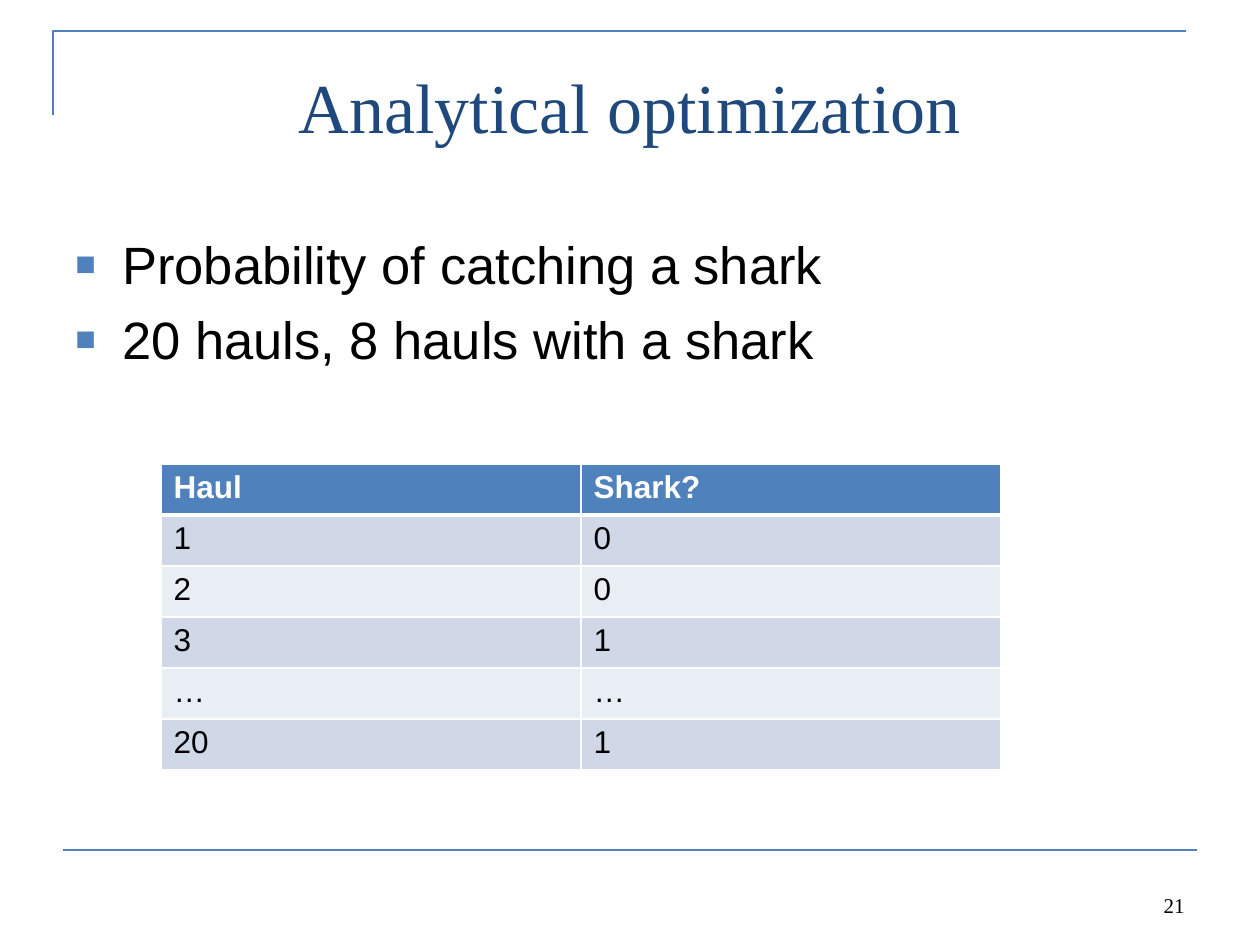
from pptx import Presentation
from pptx.dml.color import RGBColor
from pptx.enum.shapes import MSO_CONNECTOR
from pptx.enum.text import MSO_ANCHOR, PP_ALIGN
from pptx.oxml.ns import qn
from pptx.util import Emu, Pt
from lxml import etree

TITLE = "Analytical optimization"
POINTS = ["Probability of catching a shark", "20 hauls, 8 hauls with a shark"]
HAULS = [
    ("Haul", "Shark?"),
    ("1", "0"),
    ("2", "0"),
    ("3", "1"),
    ("…", "…"),
    ("20", "1"),
]
PAGE_NUMBER = "21"

STRAIGHT = MSO_CONNECTOR.STRAIGHT
TOP, BOTTOM = MSO_ANCHOR.TOP, MSO_ANCHOR.BOTTOM
LEFT, CENTER, RIGHT = PP_ALIGN.LEFT, PP_ALIGN.CENTER, PP_ALIGN.RIGHT
BLUE = RGBColor(0x4F, 0x81, 0xBD)
NAVY = RGBColor(0x1F, 0x49, 0x7D)
BLACK = RGBColor(0, 0, 0)
WHITE = RGBColor(0xFF, 0xFF, 0xFF)
BANDS = [RGBColor(0xE9, 0xED, 0xF4), RGBColor(0xD0, 0xD8, 0xE8)]
SANS, SERIF = "Arial", "Times New Roman"
SCALE = 914400 / 126
COLUMN_WIDTH, ROW_HEIGHT = 420, 51


def px(length):
    return Emu(round(length * SCALE))


def style(paragraph, size, font, color, bold=False):
    for run in paragraph.runs:
        run.font.size = Pt(size)
        run.font.name = font
        run.font.color.rgb = color
        run.font.bold = bold


def add_text(slide, box, lines, size, font, color, align=LEFT, anchor=TOP, margin_top=6):
    frame = slide.shapes.add_textbox(*map(px, box)).text_frame
    frame.word_wrap = True
    frame.vertical_anchor = anchor
    frame.margin_top = px(margin_top)
    frame.text = "\n".join(lines)
    for paragraph in frame.paragraphs:
        paragraph.alignment = align
        style(paragraph, size, font, color)
    return frame


def add_bullet(paragraph):
    properties = paragraph._p.get_or_add_pPr()
    indent = px(47)
    properties.set("marL", str(indent))
    properties.set("indent", str(-indent))
    color = etree.SubElement(properties, qn("a:buClr"))
    etree.SubElement(color, qn("a:srgbClr"), val=str(BLUE))
    etree.SubElement(properties, qn("a:buSzPct"), val="65000")
    etree.SubElement(properties, qn("a:buFont"), typeface=SANS)
    etree.SubElement(properties, qn("a:buChar"), char="■")


def add_borders(cell, widths):
    properties = cell._tc.get_or_add_tcPr()
    for position, (side, width) in enumerate(widths.items()):
        border = etree.Element(qn(f"a:ln{side}"), w=str(Pt(width)))
        fill = etree.SubElement(border, qn("a:solidFill"))
        etree.SubElement(fill, qn("a:srgbClr"), val=str(WHITE))
        properties.insert(position, border)


def add_frame_lines(slide):
    builder = slide.shapes.build_freeform(53, 115, scale=SCALE)
    builder.add_line_segments([(53, 31), (1186, 31)], close=False)
    corner = builder.convert_to_shape()
    corner.shadow.inherit = False
    corner.fill.background()
    footer = slide.shapes.add_connector(STRAIGHT, px(63), px(850), px(1197), px(850))
    etree.SubElement(footer._element.spPr, qn("a:effectLst"))
    for rule in (corner, footer):
        rule.line.color.rgb = BLUE
        rule.line.width = Pt(1.5)


def add_hauls(slide):
    rows, columns = len(HAULS), len(HAULS[0])
    size = (columns * COLUMN_WIDTH, rows * ROW_HEIGHT)
    table = slide.shapes.add_table(rows, columns, *map(px, (161, 464, *size))).table
    for row, values in enumerate(HAULS):
        header = row == 0
        for column, value in enumerate(values):
            cell = table.cell(row, column)
            cell.text = value
            style(cell.text_frame.paragraphs[0], 18, SANS, WHITE if header else BLACK, header)
            cell.fill.solid()
            cell.fill.fore_color.rgb = BLUE if header else BANDS[row % 2]
            add_borders(cell, {"L": 1, "R": 1, "T": 3 if row == 1 else 1, "B": 3 if header else 1})


def main():
    deck = Presentation()
    deck.slide_width, deck.slide_height = px(1260), px(945)
    slide = deck.slides.add_slide(deck.slide_layouts[6])
    add_frame_lines(slide)
    points = add_text(slide, (63, 220, 1134, 624), POINTS, 30, SANS, BLACK, margin_top=12)
    for number, paragraph in enumerate(points.paragraphs):
        add_bullet(paragraph)
        if number:
            paragraph.space_before = Pt(7)
    add_text(slide, (903, 861, 294, 63), [PAGE_NUMBER], 12, SERIF, BLACK, RIGHT, BOTTOM)
    add_text(slide, (87, 50, 1086, 183), [TITLE], 40, SERIF, NAVY, CENTER, margin_top=14)
    add_hauls(slide)
    deck.save("out.pptx")


if __name__ == "__main__":
    main()
